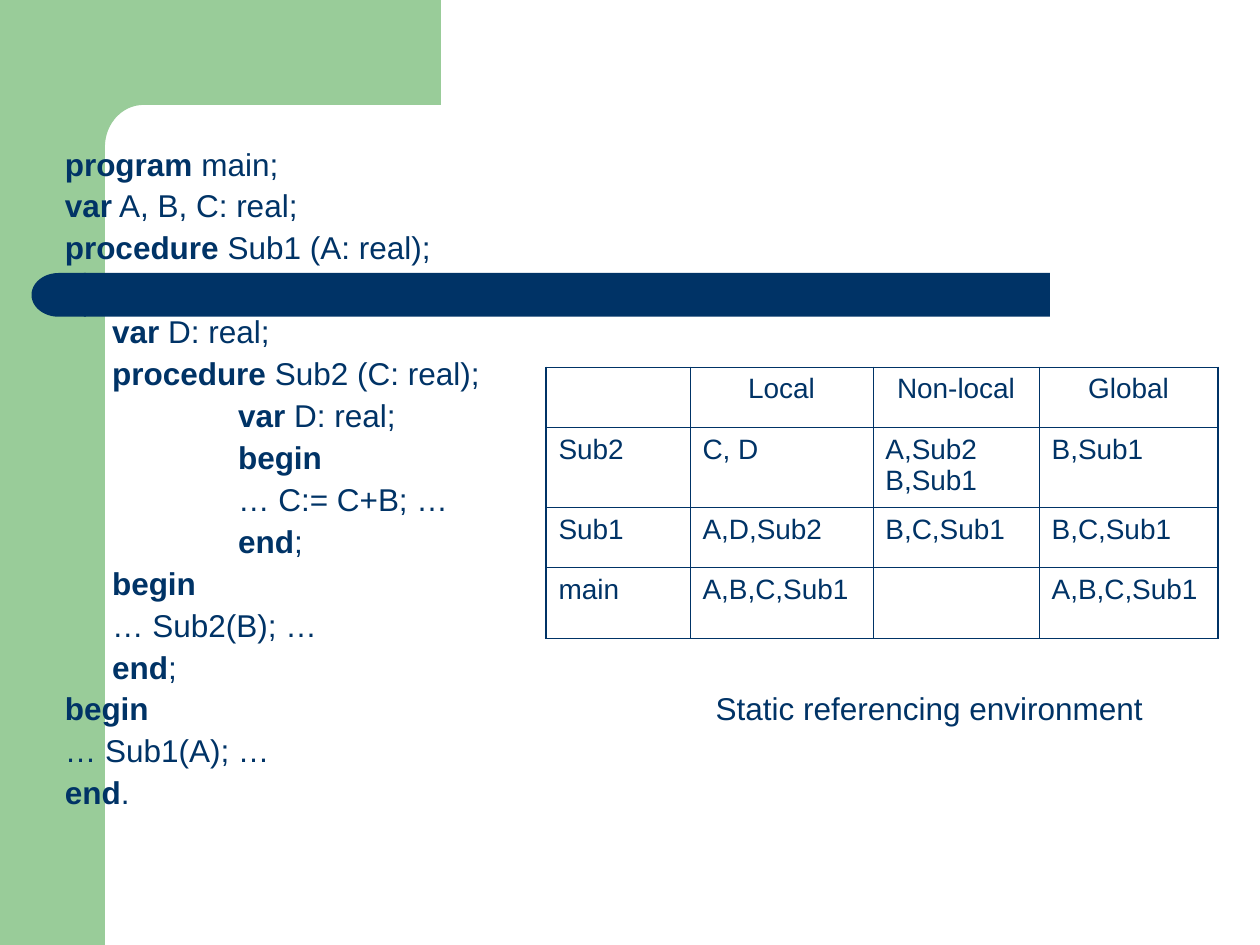
from math import cos, pi, sin

from lxml.etree import SubElement
from pptx import Presentation
from pptx.dml.color import RGBColor
from pptx.enum.shapes import MSO_SHAPE
from pptx.enum.text import PP_ALIGN
from pptx.oxml.ns import qn
from pptx.util import Pt

COLORS = {"green": "99CC99", "navy": "003366"}
FONT = "Arial"
INDENTS = [0, 27, 99]
LINE_GAP, SKIPPED_LINE = 4.5, 24

# Each line: depth, bold keyword, rest, lines skipped above
CODE = [
    (0, "program", " main;", 0),
    (0, "var", " A, B, C: real;", 0),
    (0, "procedure", " Sub1 (A: real);", 0),
    (1, "var", " D: real;", 1),
    (1, "procedure", " Sub2 (C: real);", 0),
    (2, "var", " D: real;", 0),
    (2, "begin", "", 0),
    (2, "", "… C:= C+B; …", 0),
    (2, "end", ";", 0),
    (1, "begin", "", 0),
    (1, "", "… Sub2(B); …", 0),
    (1, "end", ";", 0),
    (0, "begin", "", 0),
    (0, "", "… Sub1(A); …", 0),
    (0, "end", ".", 0),
]
ENVIRONMENT = [
    ["", "Local", "Non-local", "Global"],
    ["Sub2", "C, D", "A,Sub2 B,Sub1", "B,Sub1"],
    ["Sub1", "A,D,Sub2", "B,C,Sub1", "B,C,Sub1"],
    ["main", "A,B,C,Sub1", "", "A,B,C,Sub1"],
]
COL_WIDTHS = [82.3, 104.5, 95, 102.2]
ROW_HEIGHTS = [34.3, 45.8, 34.3, 40.5]


def paint(sp, color):
    """Give a shape a plain fill without line or shadow."""
    sp.shadow.inherit = False
    sp.fill.solid()
    sp.fill.fore_color.rgb = RGBColor.from_string(COLORS[color])
    sp.line.fill.background()


def add_block(s, kind, x, y, w, h, color):
    """Add a filled preset shape."""
    sp = s.shapes.add_shape(kind, Pt(x), Pt(y), Pt(w), Pt(h))
    paint(sp, color)
    return sp


def add_corner(s):
    """Add the top band with its rounded inner corner."""
    cx, cy, rx, ry, steps = 82, 84, 22, 24, 24
    angles = [pi / 2 * i / steps for i in range(steps + 1)]
    arc = [(cx - rx * sin(a), cy - ry * cos(a)) for a in angles]
    points = [(252, 0), (252, 60), *arc, (60, 92), (36, 92), (36, 0)]
    points = [(Pt(x), Pt(y)) for x, y in points]
    builder = s.shapes.build_freeform(*points[0])
    builder.add_line_segments(points[1:], close=True)
    paint(builder.convert_to_shape(), "green")


def add_run(p, text, size, bold=False):
    """Append one formatted run."""
    r = p.add_run()
    r.text = text
    r.font.name, r.font.size, r.font.bold = FONT, Pt(size), bold
    r.font.color.rgb = RGBColor.from_string(COLORS["navy"])


def add_text_frame(s, x, y, w, h):
    """Add a wrapping text box and return its frame."""
    tf = s.shapes.add_textbox(Pt(x), Pt(y), Pt(w), Pt(h)).text_frame
    tf.word_wrap = True
    return tf


def add_code(s):
    """Add the program listing, one paragraph per code line."""
    tf = add_text_frame(s, 30, 81.5, 318, 452)
    for i, (depth, keyword, rest, skipped) in enumerate(CODE):
        p = tf.paragraphs[0] if i == 0 else tf.add_paragraph()
        p.line_spacing = 0.9
        p.space_before = Pt(LINE_GAP + skipped * SKIPPED_LINE)
        p._p.get_or_add_pPr().set("marL", str(Pt(INDENTS[depth])))
        for text, bold in ((keyword, True), (rest, False)):
            if text:
                add_run(p, text, 18, bold)


def set_borders(cell, widths):
    """Draw the four cell edges, given as widths by side."""
    tcPr = cell._tc.get_or_add_tcPr()
    for i, (side, width) in enumerate(widths.items()):
        ln = SubElement(tcPr, qn(f"a:ln{side}"), w=str(Pt(width)))
        fill = SubElement(ln, qn("a:solidFill"))
        SubElement(fill, qn("a:srgbClr"), val=COLORS["navy"])
        tcPr.insert(i, ln)


def add_environment_table(s):
    """Add the table of visible names with a heavier outer frame."""
    n_rows, n_cols = len(ROW_HEIGHTS), len(COL_WIDTHS)
    table = s.shapes.add_table(n_rows, n_cols, Pt(312), Pt(210),
                               Pt(sum(COL_WIDTHS)), Pt(sum(ROW_HEIGHTS))).table
    table.first_row = table.horz_banding = False
    for col, width in zip(table.columns, COL_WIDTHS):
        col.width = Pt(width)
    for i, (row, height) in enumerate(zip(table.rows, ROW_HEIGHTS)):
        row.height = Pt(height)
        for j, cell in enumerate(row.cells):
            cell.fill.background()
            outer = {"L": j == 0, "R": j == n_cols - 1,
                     "T": i == 0, "B": i == n_rows - 1}
            set_borders(cell, {k: 1.08 if v else 0.45 for k, v in outer.items()})
            if ENVIRONMENT[i][j]:
                p = cell.text_frame.paragraphs[0]
                p.alignment = PP_ALIGN.CENTER if i == 0 else PP_ALIGN.LEFT
                p.space_before = Pt(4)
                add_run(p, ENVIRONMENT[i][j], 16)


def add_caption(s):
    """Add the caption below the table."""
    p = add_text_frame(s, 384, 390, 294, 29).paragraphs[0]
    p.alignment = PP_ALIGN.CENTER
    p.space_before = Pt(11.2)
    add_run(p, "Static referencing environment", 18)


def main():
    """Build and save the slide."""
    prs = Presentation()
    prs.slide_width, prs.slide_height = Pt(720), Pt(540)
    s = prs.slides.add_slide(prs.slide_layouts[6])
    add_block(s, MSO_SHAPE.RECTANGLE, 0, 0, 60, 540, "green")
    add_corner(s)
    add_block(s, MSO_SHAPE.RECTANGLE, 48, 156, 552, 25, "navy")
    cap = add_block(s, MSO_SHAPE.FLOWCHART_DELAY, 18, 156, 31, 25, "navy")
    cap.rotation = 180
    add_environment_table(s)
    add_caption(s)
    add_code(s)
    prs.save("out.pptx")


main()
